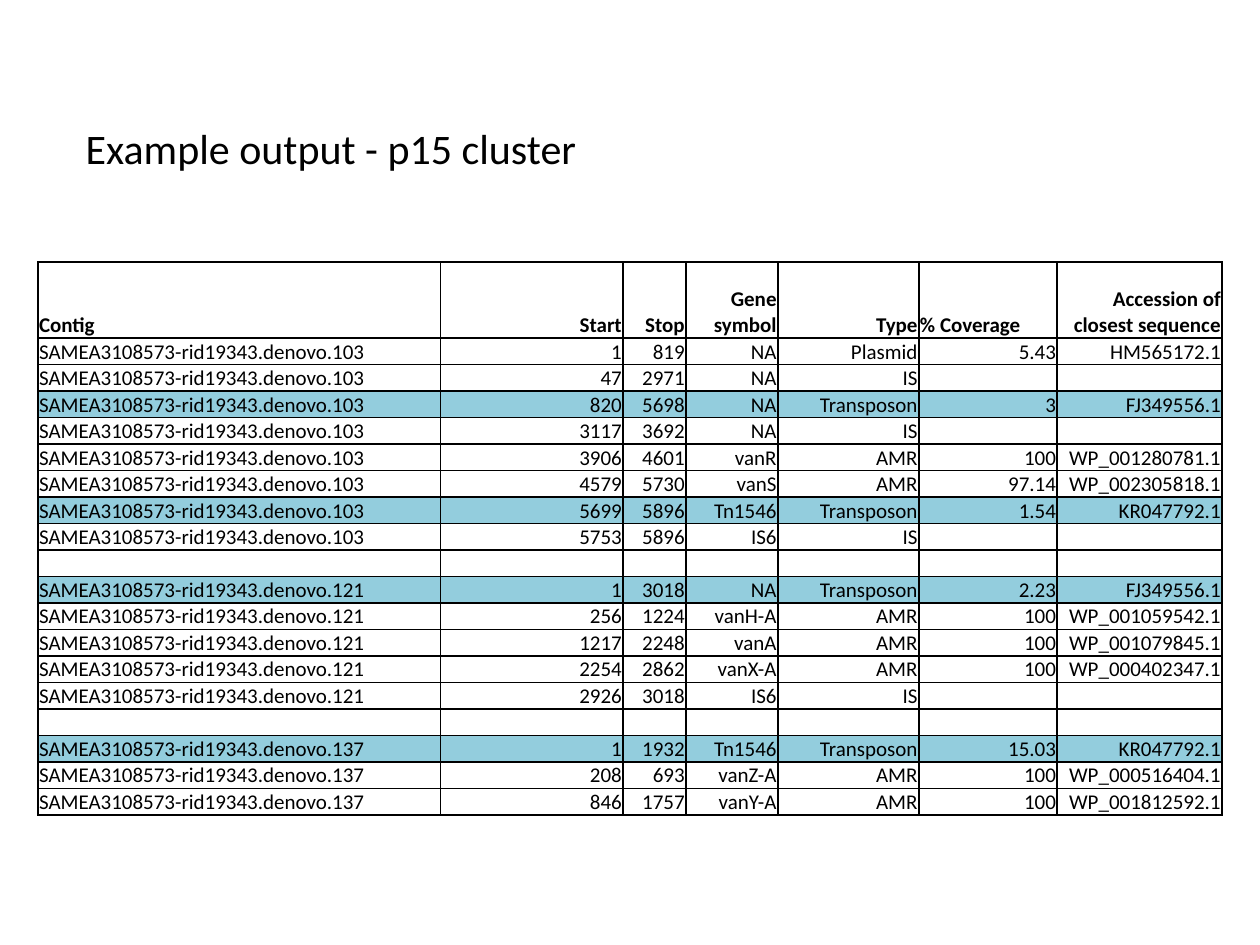
"""Build the slide that tabulates the example output for the p15 cluster."""
import dataclasses

import lxml.etree
import pptx
import pptx.dml.color
import pptx.enum.text
import pptx.oxml.ns
import pptx.util

HEADINGS = ["Contig", "Start", "Stop", "Gene symbol", "Type", "% Coverage", "Accession of closest sequence"]
COLUMN_WEIGHTS = [3.2, 1.45, 0.5, 0.73, 1.12, 1.1, 1.31]
LEFT_ALIGNED = {"Contig", "% Coverage"}
CONTIG_PREFIX = "SAMEA3108573-rid19343.denovo."
CONTIGS = {
    "103": [
        ("1", "819", "NA", "Plasmid", "5.43", "HM565172.1"),
        ("47", "2971", "NA", "IS", "", ""),
        ("820", "5698", "NA", "Transposon", "3", "FJ349556.1"),
        ("3117", "3692", "NA", "IS", "", ""),
        ("3906", "4601", "vanR", "AMR", "100", "WP_001280781.1"),
        ("4579", "5730", "vanS", "AMR", "97.14", "WP_002305818.1"),
        ("5699", "5896", "Tn1546", "Transposon", "1.54", "KR047792.1"),
        ("5753", "5896", "IS6", "IS", "", ""),
    ],
    "121": [
        ("1", "3018", "NA", "Transposon", "2.23", "FJ349556.1"),
        ("256", "1224", "vanH-A", "AMR", "100", "WP_001059542.1"),
        ("1217", "2248", "vanA", "AMR", "100", "WP_001079845.1"),
        ("2254", "2862", "vanX-A", "AMR", "100", "WP_000402347.1"),
        ("2926", "3018", "IS6", "IS", "", ""),
    ],
    "137": [
        ("1", "1932", "Tn1546", "Transposon", "15.03", "KR047792.1"),
        ("208", "693", "vanZ-A", "AMR", "100", "WP_000516404.1"),
        ("846", "1757", "vanY-A", "AMR", "100", "WP_001812592.1"),
    ],
}


@dataclasses.dataclass(frozen=True)
class Theme:
    """Colours, font and type sizes of the slide."""
    font: str = "Calibri"
    ink: str = "000000"
    highlight: str = "93CDDD"
    title_size: int = 24
    table_size: int = 12
    border_width: int = 1


class SlideBuilder:
    """Hold the theme and current slide, and place elements by shares of its size."""

    def __init__(self, presentation, theme):
        """Start a title-only slide."""
        self.theme = theme
        self.width = presentation.slide_width
        self.height = presentation.slide_height
        self.slide = presentation.slides.add_slide(presentation.slide_layouts[5])

    def box(self, left, top, width, height):
        """Turn shares of the slide into lengths."""
        return int(left * self.width), int(top * self.height), int(width * self.width), int(height * self.height)

    def format_runs(self, paragraph, size, bold=False):
        """Apply the theme to every run of a paragraph."""
        for run in paragraph.runs:
            run.font.name = self.theme.font
            run.font.size = pptx.util.Pt(size)
            run.font.bold = bold
            run.font.color.rgb = pptx.dml.color.RGBColor.from_string(self.theme.ink)

    def title(self, text, *shares):
        """Fill, move and format the title placeholder."""
        shape = self.slide.shapes.title
        shape.left, shape.top, shape.width, shape.height = self.box(*shares)
        frame = shape.text_frame
        frame.text = text
        frame.word_wrap = False
        frame.auto_size = pptx.enum.text.MSO_AUTO_SIZE.SHAPE_TO_FIT_TEXT
        frame.vertical_anchor = pptx.enum.text.MSO_ANCHOR.TOP
        frame.paragraphs[0].alignment = pptx.enum.text.PP_ALIGN.LEFT
        self.format_runs(frame.paragraphs[0], self.theme.title_size)

    def table(self, rows, weights, header_share, *shares):
        """Add a ruled table whose first row takes a given share of its height."""
        left, top, width, height = self.box(*shares)
        table = self.slide.shapes.add_table(len(rows), len(weights), left, top, width, height).table
        table.first_row = table.horz_banding = False
        for column, weight in zip(table.columns, weights):
            column.width = int(width * weight / sum(weights))
        header_height = int(height * header_share)
        for index, values in enumerate(rows):
            table.rows[index].height = header_height if index == 0 else (height - header_height) // (len(rows) - 1)
            for position, value in enumerate(values):
                left_aligned = rows[0][position] in LEFT_ALIGNED if index == 0 else position == 0
                self.cell(table.cell(index, position), value, index == 0, left_aligned, "Transposon" in values)

    def cell(self, cell, text, bold, left_aligned, highlighted):
        """Fill and format one table cell."""
        cell.margin_left = cell.margin_right = cell.margin_top = pptx.util.Inches(0.01)
        cell.margin_bottom = 0
        cell.vertical_anchor = pptx.enum.text.MSO_ANCHOR.BOTTOM
        paragraph = cell.text_frame.paragraphs[0]
        paragraph.text = text
        alignments = pptx.enum.text.PP_ALIGN
        paragraph.alignment = alignments.LEFT if left_aligned else alignments.RIGHT
        self.format_runs(paragraph, self.theme.table_size, bold)
        if not text:
            lxml.etree.SubElement(paragraph._p, pptx.oxml.ns.qn("a:endParaRPr"), sz=str(self.theme.table_size * 100))
        self.borders(cell)
        if highlighted:
            cell.fill.solid()
            cell.fill.fore_color.rgb = pptx.dml.color.RGBColor.from_string(self.theme.highlight)
        else:
            cell.fill.background()

    def borders(self, cell):
        """Rule all four sides of a cell."""
        qualified = pptx.oxml.ns.qn
        properties = cell._tc.get_or_add_tcPr()
        for side in ("lnL", "lnR", "lnT", "lnB"):
            width = str(pptx.util.Pt(self.theme.border_width))
            line = lxml.etree.SubElement(properties, qualified(f"a:{side}"), w=width)
            fill = lxml.etree.SubElement(line, qualified("a:solidFill"))
            lxml.etree.SubElement(fill, qualified("a:srgbClr"), val=self.theme.ink)


def table_rows():
    """List the headings and contigs, with an empty row between contigs."""
    rows = [HEADINGS]
    for contig, features in CONTIGS.items():
        if len(rows) > 1:
            rows.append([""] * len(HEADINGS))
        rows.extend([CONTIG_PREFIX + contig, *feature] for feature in features)
    return rows


def main():
    """Build and save the presentation."""
    presentation = pptx.Presentation()
    presentation.slide_width = pptx.util.Inches(10)
    presentation.slide_height = pptx.util.Inches(7.5)
    builder = SlideBuilder(presentation, Theme())
    builder.title("Example output - p15 cluster", 0.058, 0.123, 0.413, 0.067)
    builder.table(table_rows(), COLUMN_WEIGHTS, 0.14, 0.03, 0.277, 0.94, 0.576)
    presentation.save("out.pptx")


if __name__ == "__main__":
    main()
